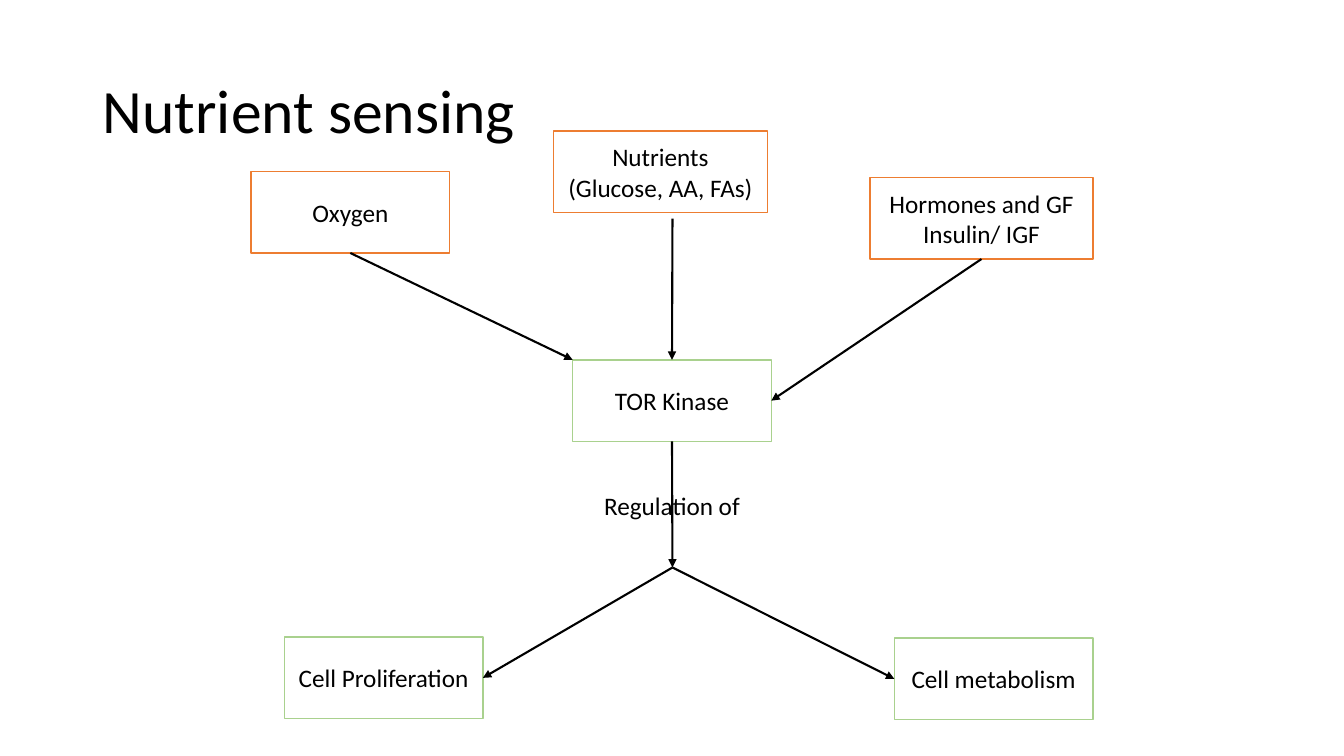
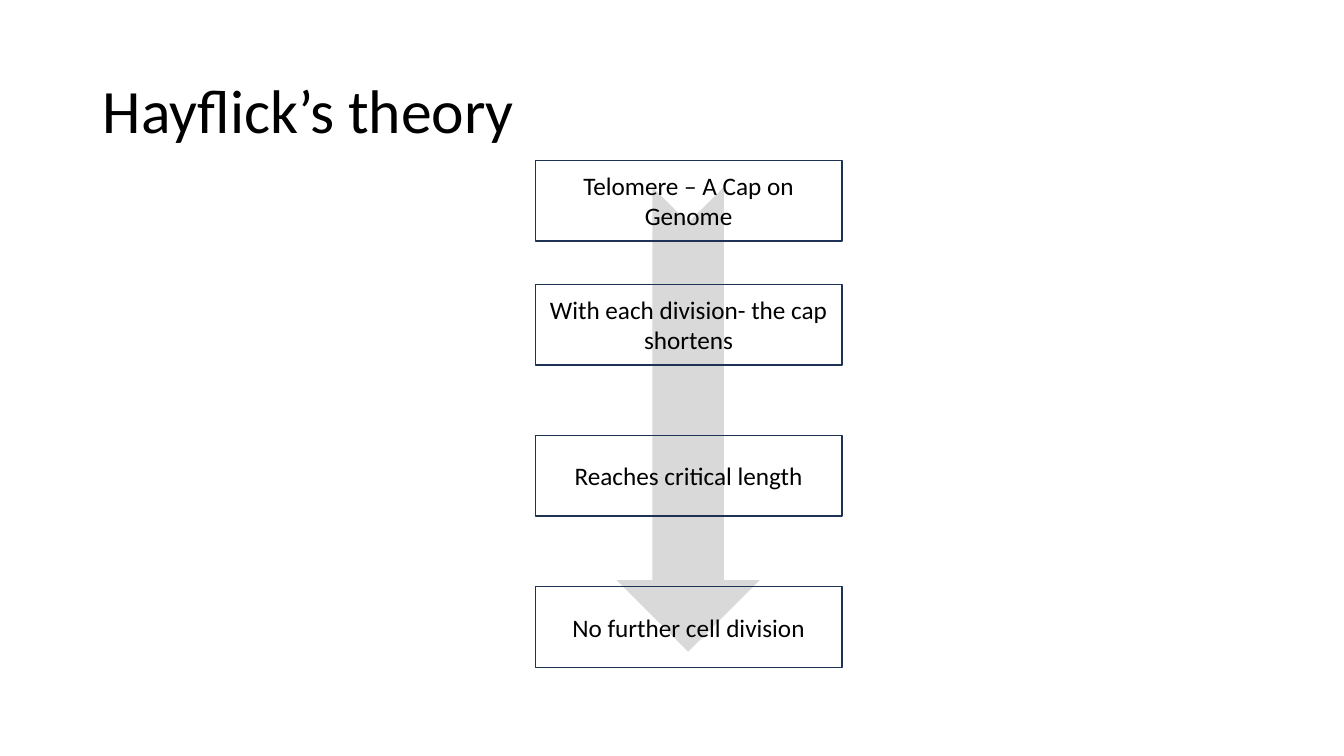
"""Build two slides on nutrient sensing and the limit of cell division."""
from dataclasses import dataclass
from typing import Optional, Union

from lxml.etree import SubElement
from pptx import Presentation
from pptx.dml.color import RGBColor as Rgb
from pptx.enum.shapes import MSO_CONNECTOR as Conn, MSO_SHAPE as Form
from pptx.enum.text import MSO_ANCHOR as Anchor, MSO_AUTO_SIZE as Auto, PP_ALIGN as Align
from pptx.oxml.ns import qn
from pptx.util import Pt

PX = 9144
FONT = "Calibri"
HUES = {"ink": "000000", "paper": "FFFFFF", "input": "ED7D31",
        "output": "A9D18E", "step": "1E3256", "arrow": "D9D9D9"}
TOP, LEFT, BOTTOM, RIGHT = range(4)


@dataclass
class Box:
    """A rectangle with centred text."""
    text: str
    x: int
    y: int
    w: int = 197
    h: int = 81
    line: Optional[str] = None
    fill: Optional[str] = None


@dataclass
class Dock:
    """The middle of one side of a named box."""
    name: str
    side: int


@dataclass
class Spot:
    """A free point."""
    x: int
    y: int


@dataclass
class Link:
    """An arrow between two ends."""
    start: Union[Dock, Spot]
    end: Union[Dock, Spot]


HUB = Spot(667, 563)
BOXES = {
    "oxygen": Box("Oxygen", 249, 170, line="input", fill="paper"),
    "food": Box("Nutrients (Glucose, AA, FAs)", 549, 130, 212, line="input", fill="paper"),
    "hormone": Box("Hormones and GF\nInsulin/ IGF", 863, 176, 221, line="input", fill="paper"),
    "tor": Box("TOR Kinase", 568, 357, line="output", fill="paper"),
    "growth": Box("Cell Proliferation", 282, 632, line="output", fill="paper"),
    "fuel": Box("Cell metabolism", 887, 633, line="output", fill="paper"),
}
LINKS = [
    Link(Dock("oxygen", BOTTOM), Spot(568, 357)),
    Link(Spot(667, 217), Dock("tor", TOP)),
    Link(Dock("hormone", BOTTOM), Dock("tor", RIGHT)),
    Link(Dock("tor", BOTTOM), HUB),
    Link(HUB, Dock("fuel", LEFT)),
    Link(HUB, Dock("growth", RIGHT)),
]
STEPS = {
    159: "Telomere – A Cap on Genome",
    282: "With each division- the cap shortens",
    432: "Reaches critical length",
    582: "No further cell division",
}


def hue(name: str) -> Rgb:
    """Look up a colour."""
    return Rgb.from_string(HUES[name])


def write(frame, text: str, size: int, align: Align) -> None:
    """Fill a text frame and format its runs."""
    frame.text = text
    frame.word_wrap = True
    frame.auto_size = Auto.NONE
    frame.vertical_anchor = Anchor.MIDDLE
    for para in frame.paragraphs:
        para.alignment = align
        for run in para.runs:
            run.font.name = FONT
            run.font.size = Pt(size)
            run.font.color.rgb = hue("ink")


def add_page(deck, text: str):
    """Add a slide with the shared title style."""
    page = deck.slides.add_slide(deck.slide_layouts[5])
    title = page.shapes.title
    title.left, title.top, title.width, title.height = (n * PX for n in (92, 40, 1150, 145))
    write(title.text_frame, text, 44, Align.LEFT)
    title.text_frame.paragraphs[0].line_spacing = 0.9
    return page


def draw_box(page, box: Box):
    """Draw a box, or plain text where it has no line."""
    area = [n * PX for n in (box.x, box.y, box.w, box.h)]
    if box.line:
        shape = page.shapes.add_shape(Form.RECTANGLE, *area)
        shape.shadow.inherit = False
        shape.line.color.rgb = hue(box.line)
        shape.line.width = Pt(1)
    else:
        shape = page.shapes.add_textbox(*area)
    if box.fill:
        shape.fill.solid()
        shape.fill.fore_color.rgb = hue(box.fill)
    else:
        shape.fill.background()
    write(shape.text_frame, box.text, 18, Align.CENTER)
    return shape


def draw_link(page, link: Link, nodes: dict) -> None:
    """Draw an arrow and join its docked ends."""
    ends = (link.start, link.end)
    spots = [n * PX for end in ends
             for n in ((end.x, end.y) if isinstance(end, Spot) else (0, 0))]
    line = page.shapes.add_connector(Conn.STRAIGHT, *spots)
    for end, join in zip(ends, (line.begin_connect, line.end_connect)):
        if isinstance(end, Dock):
            join(nodes[end.name], end.side)
    line.line.color.rgb = hue("ink")
    line.line.width = Pt(1.5)
    SubElement(line.line._get_or_add_ln(), qn("a:tailEnd"), type="triangle")
    SubElement(line._element.spPr, qn("a:effectLst"))


def draw_arrow(page) -> None:
    """Draw the broad arrow behind the steps."""
    shape = page.shapes.add_shape(
        Form.NOTCHED_RIGHT_ARROW, *(n * PX for n in (452, 345, 461, 142)))
    shape.rotation = 90
    shape.shadow.inherit = False
    shape.fill.solid()
    shape.fill.fore_color.rgb = hue("arrow")
    shape.line.fill.background()


def main() -> None:
    """Build and save the deck."""
    deck = Presentation()
    deck.slide_width, deck.slide_height = 1333 * PX, 750 * PX

    page = add_page(deck, "Nutrient sensing")
    nodes = {name: draw_box(page, box) for name, box in BOXES.items()}
    for link in LINKS:
        draw_link(page, link, nodes)
    draw_box(page, Box("Regulation of", 568, 461))

    page = add_page(deck, "Hayflick’s theory")
    draw_arrow(page)
    for y, text in STEPS.items():
        draw_box(page, Box(text, 531, y, 304, 80, line="step"))

    deck.save("out.pptx")


if __name__ == "__main__":
    main()
